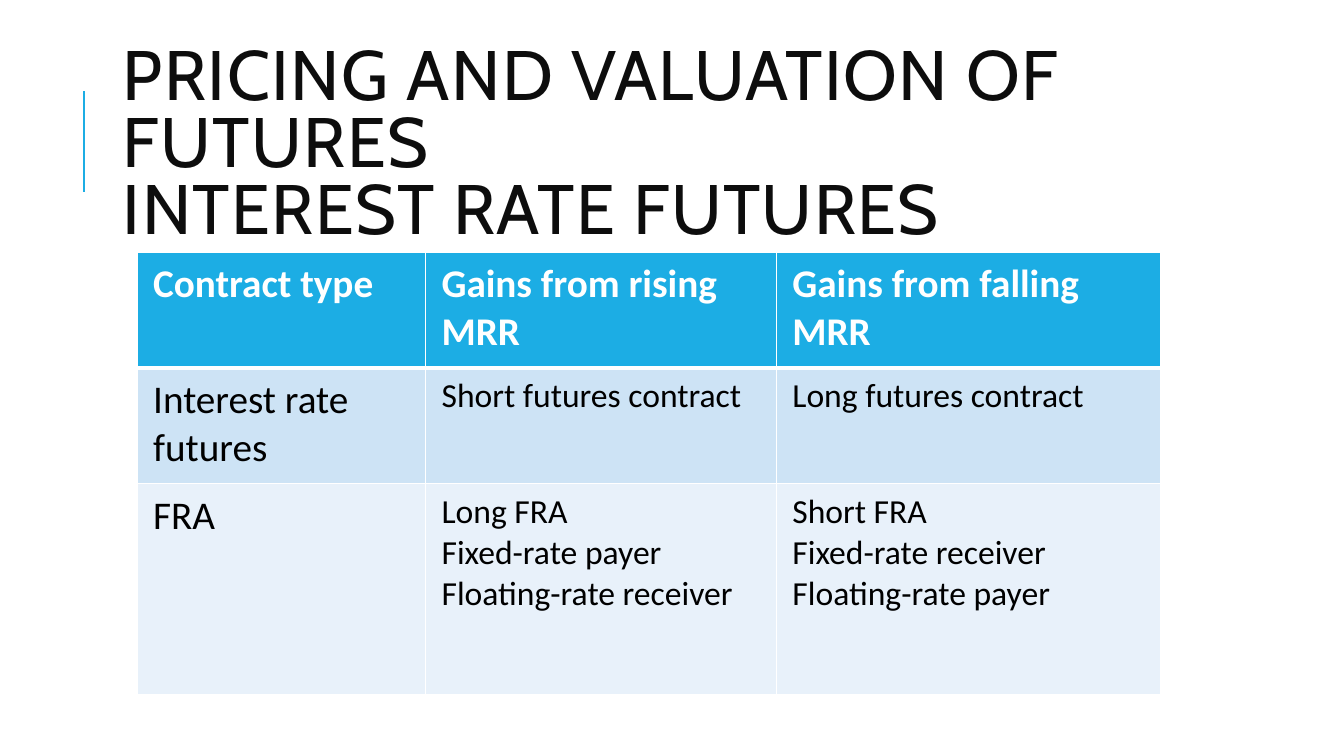
from lxml.etree import SubElement
from pptx import Presentation
from pptx.dml.color import RGBColor
from pptx.enum.shapes import MSO_CONNECTOR
from pptx.enum.text import MSO_ANCHOR
from pptx.oxml.ns import qn
from pptx.util import Inches, Pt

BLUE = RGBColor(0x1C, 0xAD, 0xE4)
PALE_BLUE = RGBColor(0xCD, 0xE3, 0xF5)
PALER_BLUE = RGBColor(0xE8, 0xF1, 0xFA)
WHITE = RGBColor(0xFF, 0xFF, 0xFF)
INK = RGBColor(0x0D, 0x0D, 0x0D)
BLACK = RGBColor(0, 0, 0)

CONTRACTS = [
    ["Contract type", "Gains from rising MRR", "Gains from falling MRR"],
    ["Interest rate futures", "Short futures contract", "Long futures contract"],
    ["FRA",
     "Long FRA\nFixed-rate payer\nFloating-rate receiver",
     "Short FRA\nFixed-rate receiver\nFloating-rate payer"],
]


def write_text(frame, text, *, font="Calibri", size=24, color=BLACK,
               bold=False, line_spacing=None, tracking=None):
    """Fill a text frame: newline starts a paragraph, vertical tab a line."""
    frame.word_wrap = True
    for index, content in enumerate(text.split("\n")):
        para = frame.paragraphs[0] if index == 0 else frame.add_paragraph()
        if line_spacing:
            para.line_spacing = line_spacing
        for number, line in enumerate(content.split("\v")):
            if number:
                para.add_line_break()
            span = para.add_run()
            span.text = line
            span.font.name = font
            span.font.size = Pt(size)
            span.font.bold = bold
            span.font.color.rgb = color
            if tracking:
                span.font._element.set("spc", str(tracking * 100))


class SlideBuilder:
    """Hold the current slide and its table style."""

    row_fills = [BLUE, PALE_BLUE, PALER_BLUE]

    def __init__(self, deck):
        self.page = deck.slides.add_slide(deck.slide_layouts[6])

    def line(self, left, top, bottom):
        """Draw a vertical accent line."""
        accent = self.page.shapes.add_connector(
            MSO_CONNECTOR.STRAIGHT, Inches(left), Inches(bottom),
            Inches(left), Inches(top))
        accent.line.color.rgb = BLUE
        accent.line.width = Pt(1.5)
        SubElement(accent._element.spPr, qn("a:effectLst"))

    def title(self, text, left, top, width, height):
        """Add the heading, centred vertically in its box."""
        box = self.page.shapes.add_textbox(
            Inches(left), Inches(top), Inches(width), Inches(height))
        box.text_frame.vertical_anchor = MSO_ANCHOR.MIDDLE
        write_text(box.text_frame, text, font="Cabin", size=50, color=INK,
                   line_spacing=0.8, tracking=1)

    def table(self, rows, left, top, widths, heights):
        """Add a table with a coloured header and tinted rows."""
        grid = self.page.shapes.add_table(
            len(rows), len(widths), Inches(left), Inches(top),
            Inches(sum(widths)), Inches(sum(heights))).table
        for column, width in zip(grid.columns, widths):
            column.width = Inches(width)
        for row, height in zip(grid.rows, heights):
            row.height = Inches(height)
        for row_index, row in enumerate(rows):
            for column_index, text in enumerate(row):
                header = row_index == 0
                cell = grid.cell(row_index, column_index)
                cell.margin_left = cell.margin_right = Inches(0.16)
                cell.margin_top = cell.margin_bottom = Inches(0.08)
                write_text(cell.text_frame, text, bold=header,
                           size=28 if header or column_index == 0 else 24,
                           color=WHITE if header else BLACK)
                self.borders(cell, top=3 if row_index == 1 else 1,
                             bottom=3 if header else 1)
                cell.fill.solid()
                cell.fill.fore_color.rgb = self.row_fills[row_index]

    def borders(self, cell, top, bottom):
        """Give a cell white borders, with widths in points."""
        properties = cell._tc.get_or_add_tcPr()
        for side, width in (("L", 1), ("R", 1), ("T", top), ("B", bottom)):
            edge = SubElement(properties, qn(f"a:ln{side}"), w=str(Pt(width)))
            fill = SubElement(edge, qn("a:solidFill"))
            SubElement(fill, qn("a:srgbClr"), val=str(WHITE))


def main():
    """Build and save the slide."""
    deck = Presentation()
    deck.slide_width = Inches(13.33)
    deck.slide_height = Inches(7.5)
    builder = SlideBuilder(deck)
    builder.line(0.83, 0.9, 1.9)
    builder.title("PRICING AND VALUATION OF FUTURES\vINTEREST RATE FUTURES",
                  1.12, 0.64, 10.63, 1.64)
    builder.table(CONTRACTS, 1.36, 2.5, [2.86, 3.48, 3.81], [1.15, 1.15, 2.09])
    deck.save("out.pptx")


if __name__ == "__main__":
    main()
